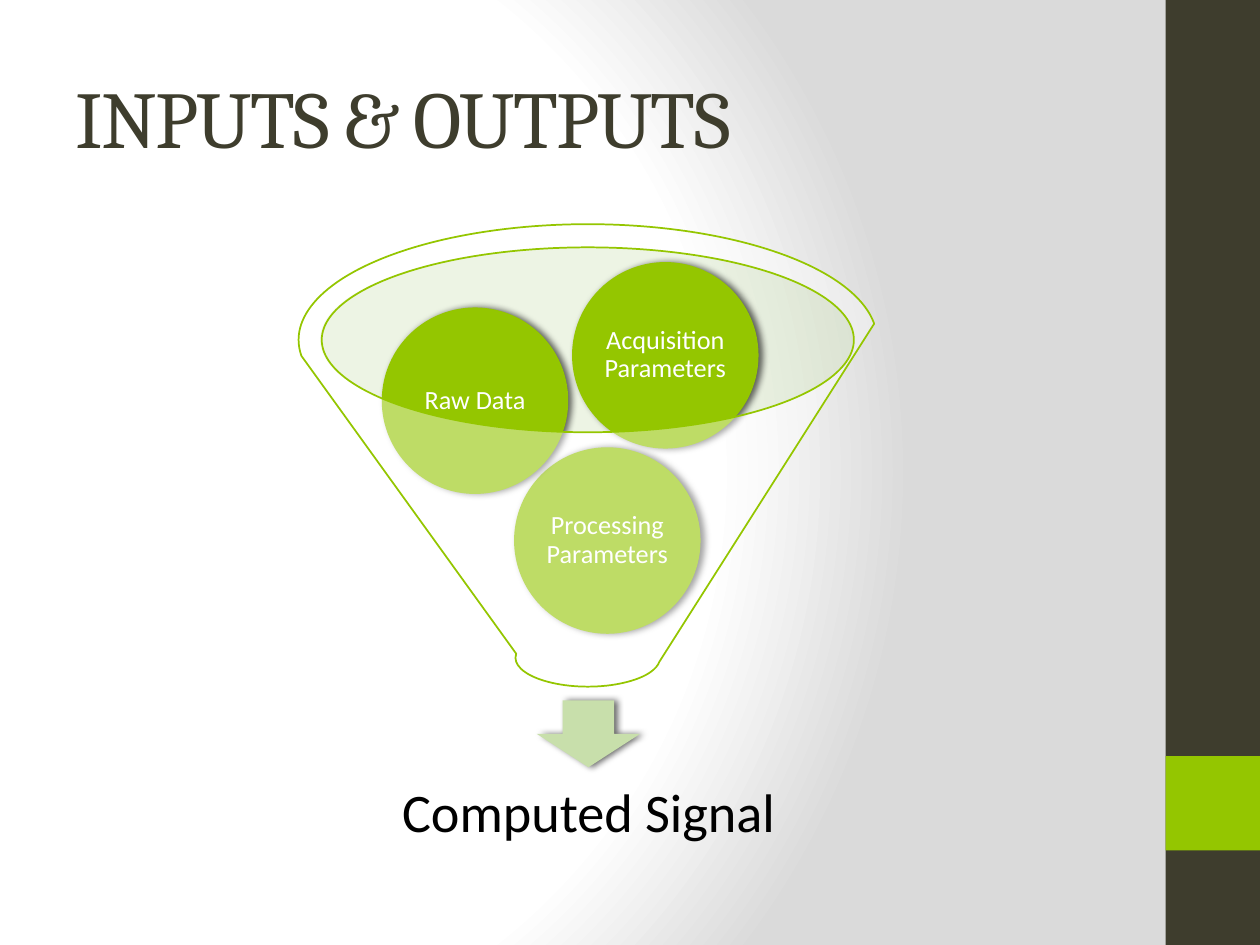
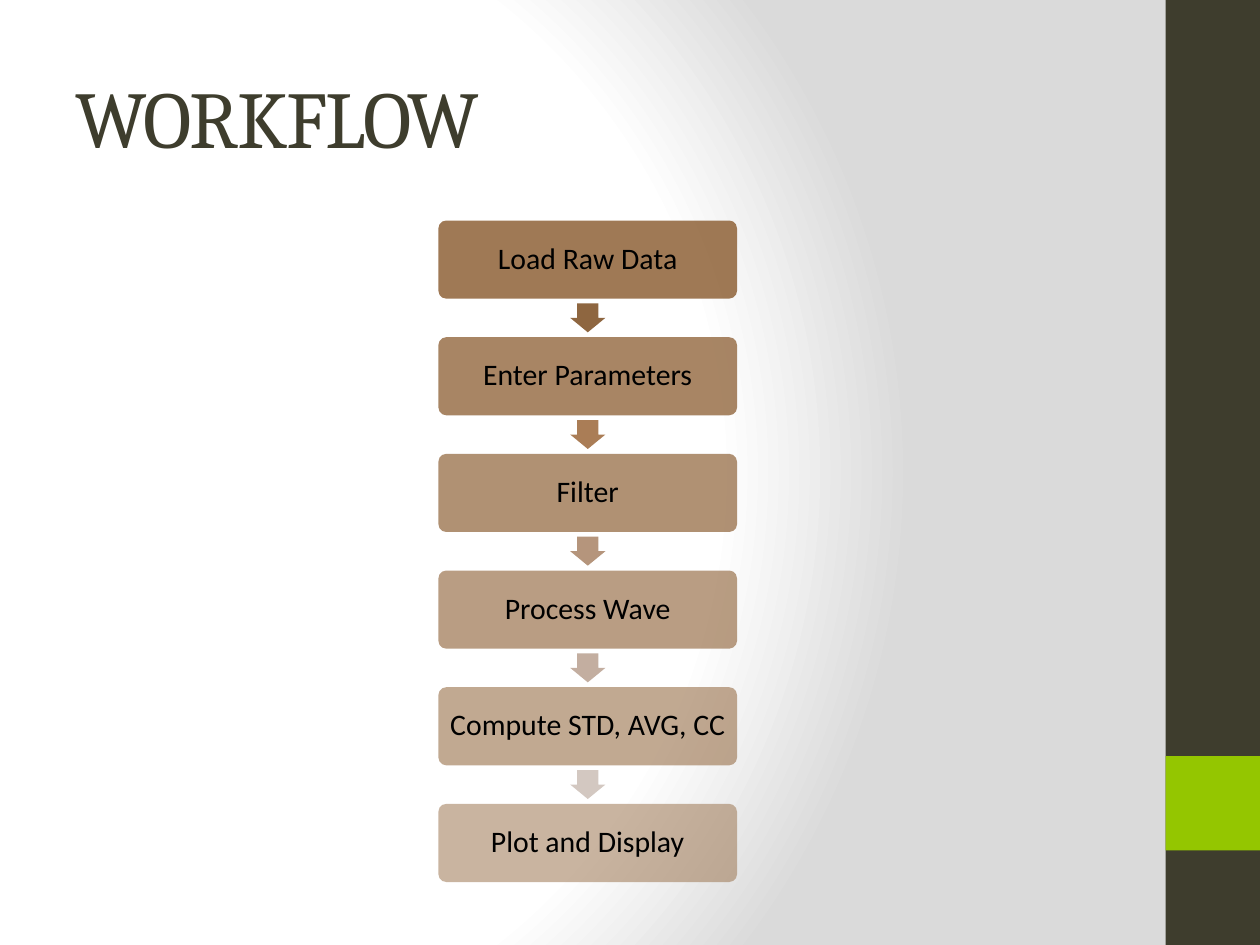
from lxml.etree import SubElement
from pptx import Presentation
from pptx.dml.color import RGBColor
from pptx.enum.shapes import MSO_SHAPE
from pptx.enum.text import MSO_ANCHOR, MSO_AUTO_SIZE, PP_ALIGN
from pptx.oxml import parse_xml
from pptx.oxml.ns import nsdecls, qn
from pptx.util import Inches, Pt

COLORS = {
    "dark": "3E3D2D",
    "green": "94C600",
    "pale_green": "D2E5BD",
    "soft_green": "C8DFAB",
    "brown": "956B43",
    "white": "FFFFFF",
    "gray": "DADADA",
    "black": "000000",
}
ARROW_COLORS = ["8E6640", "AA7D56", "B5957C", "C3AEA0", "D3C8C1"]
TITLE_FONT = "Cambria"
BODY_FONT = "Calibri"

presentation = Presentation()
presentation.slide_width = Inches(10)
presentation.slide_height = Inches(7.5)
COLUMN = presentation.slide_width / 100
ROW = presentation.slide_height / 75


def add_filled_shape(slide, kind, left, top, width, height, fill, opacity=100, shadow=False):
    shape = slide.shapes.add_shape(
        kind, int(left * COLUMN), int(top * ROW), int(width * COLUMN), int(height * ROW)
    )
    shape.fill.solid()
    shape.fill.fore_color.rgb = RGBColor.from_string(fill)
    if opacity < 100:
        color = shape.element.spPr.find(f"{qn('a:solidFill')}/{qn('a:srgbClr')}")
        SubElement(color, qn("a:alpha"), val=str(opacity * 1000))
    shape.line.fill.background()
    shape.shadow.inherit = False
    if shadow:
        effects = shape.element.spPr.find(qn("a:effectLst"))
        outer = SubElement(
            effects, qn("a:outerShdw"), blurRad=str(Pt(4)), dist=str(Pt(2)), dir="0", rotWithShape="0"
        )
        color = SubElement(outer, qn("a:srgbClr"), val=COLORS["black"])
        SubElement(color, qn("a:alpha"), val="60000")
    return shape


def write_centered(shape, text, size, color, inset):
    frame = shape.text_frame
    frame.word_wrap = True
    frame.vertical_anchor = MSO_ANCHOR.MIDDLE
    frame.margin_left = frame.margin_right = int(inset * COLUMN)
    frame.margin_top = frame.margin_bottom = int(inset * ROW)
    paragraph = frame.paragraphs[0]
    paragraph.alignment = PP_ALIGN.CENTER
    paragraph.line_spacing = 0.9
    run = paragraph.add_run()
    run.text = text
    run.font.name = BODY_FONT
    run.font.size = Pt(size)
    run.font.color.rgb = RGBColor.from_string(color)


master_content = presentation.slide_master.element.cSld
old_background = master_content.find(qn("p:bg"))
if old_background is not None:
    master_content.remove(old_background)
stops = "".join(
    f'<a:gs pos="{position * 1000}"><a:srgbClr val="{COLORS[name]}"/></a:gs>'
    for position, name in [(0, "white"), (75, "white"), (100, "gray")]
)
master_content.insert(0, parse_xml(
    f'<p:bg {nsdecls("p", "a")}><p:bgPr><a:gradFill rotWithShape="1"><a:gsLst>{stops}</a:gsLst>'
    '<a:path path="circle"><a:fillToRect l="20000" t="50000" r="100000" b="50000"/></a:path>'
    '</a:gradFill><a:effectLst/></p:bgPr></p:bg>'
))

layout = presentation.slide_layouts.get_by_name("Title Only")
layout_title = layout.placeholders[0]
layout_title.left, layout_title.top = int(5 * COLUMN), int(3 * ROW)
layout_title.width, layout_title.height = int(83.3 * COLUMN), int(12.5 * ROW)

slides = []
for title_text in ["INPUTS & OUTPUTS", "WORKFLOW"]:
    slide = presentation.slides.add_slide(layout)
    frame = slide.shapes.title.text_frame
    frame.auto_size = MSO_AUTO_SIZE.NONE
    frame.vertical_anchor = MSO_ANCHOR.MIDDLE
    paragraph = frame.paragraphs[0]
    paragraph.alignment = PP_ALIGN.LEFT
    run = paragraph.add_run()
    run.text = title_text
    run.font.name = TITLE_FONT
    run.font.size = Pt(46)
    run.font.color.rgb = RGBColor.from_string(COLORS["dark"])
    run.font._element.set("spc", "-100")
    slides.append(slide)
funnel_slide, workflow_slide = slides

bands = [(0, 75, "dark"), (60, 7.5, "green")]
for index, (top, height, color_name) in enumerate(bands):
    band = add_filled_shape(
        funnel_slide, MSO_SHAPE.RECTANGLE, 92.5, top, 7.5, height, COLORS[color_name]
    )
    layout.shapes.element.insert(2 + index, band.element)

add_filled_shape(
    funnel_slide, MSO_SHAPE.OVAL, 25.4, 19.6, 42.3, 14.7, COLORS["pale_green"], opacity=40
)
add_filled_shape(
    funnel_slide, MSO_SHAPE.DOWN_ARROW, 42.6, 55.6, 8.2, 5.3, COLORS["soft_green"], shadow=True
)
output_label = funnel_slide.shapes.add_textbox(
    int(27 * COLUMN), int(59.8 * ROW), int(39.4 * COLUMN), int(9.8 * ROW)
)
write_centered(output_label, "Computed Signal", 31, COLORS["black"], 2.4)

inputs = [
    ("Processing Parameters", 40.8, 35.5),
    ("Raw Data", 30.3, 24.4),
    ("Acquisition Parameters", 45.4, 20.8),
]
for text, left, top in inputs:
    ball = add_filled_shape(
        funnel_slide, MSO_SHAPE.OVAL, left, top, 14.8, 14.8, COLORS["green"], shadow=True
    )
    write_centered(ball, text, 15, COLORS["white"], 0.2)

funnel = add_filled_shape(
    funnel_slide, MSO_SHAPE.FUNNEL, 23.7, 17.8, 45.9, 36.7, COLORS["white"], opacity=40
)
funnel.line.color.rgb = RGBColor.from_string(COLORS["green"])
funnel.line.width = Pt(1)

steps = [
    "Load Raw Data",
    "Enter Parameters",
    "Filter",
    "Process Wave",
    "Compute STD, AVG, CC",
    "Plot and Display",
]
step_left, step_width, step_height = 34.8, 23.7, 6.2
arrow_width, arrow_height = 2.8, 2.3
first_top, last_top = 17.5, 63.8
step_pitch = (last_top - first_top) / (len(steps) - 1)
arrow_left = step_left + (step_width - arrow_width) / 2
arrow_offset = step_height + (step_pitch - step_height - arrow_height) / 2

for index, text in enumerate(steps):
    top = first_top + index * step_pitch
    step = add_filled_shape(
        workflow_slide, MSO_SHAPE.ROUNDED_RECTANGLE, step_left, top, step_width, step_height,
        COLORS["brown"], opacity=90 - 8 * index,
    )
    step.adjustments[0] = 0.1
    write_centered(step, text, 17, COLORS["black"], 0.6)
    if index < len(ARROW_COLORS):
        arrow = add_filled_shape(
            workflow_slide, MSO_SHAPE.DOWN_ARROW, arrow_left, top + arrow_offset,
            arrow_width, arrow_height, ARROW_COLORS[index],
        )
        arrow.adjustments[0] = 0.6
        arrow.adjustments[1] = 0.5

presentation.save("out.pptx")
